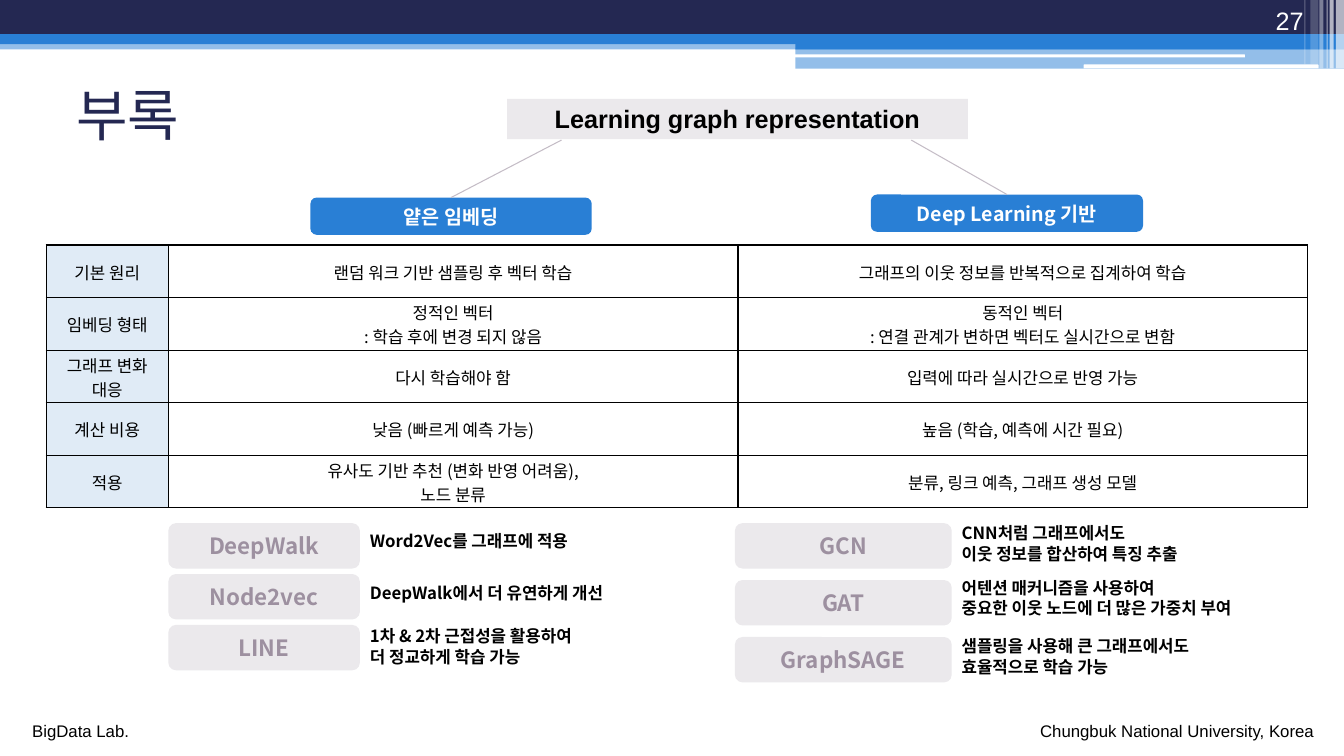
from lxml import etree
from pptx import Presentation
from pptx.dml.color import RGBColor
from pptx.enum.shapes import MSO_CONNECTOR, MSO_SHAPE
from pptx.enum.text import MSO_ANCHOR, PP_ALIGN
from pptx.oxml.ns import qn
from pptx.util import Inches, Pt

RECT, ROUND = MSO_SHAPE.RECTANGLE, MSO_SHAPE.ROUNDED_RECTANGLE
LEFT, MID, RIGHT = PP_ALIGN.LEFT, PP_ALIGN.CENTER, PP_ALIGN.RIGHT
TOP, HALF, BASE = MSO_ANCHOR.TOP, MSO_ANCHOR.MIDDLE, MSO_ANCHOR.BOTTOM
STRAIGHT = MSO_CONNECTOR.STRAIGHT

NAVY = RGBColor(0x24, 0x28, 0x52)
BLUE = RGBColor(0x29, 0x7F, 0xD5)
PALE = RGBColor(0xE0, 0xEB, 0xF6)
GREY = RGBColor(0xEB, 0xE9, 0xEC)
MAUVE = RGBColor(0x9D, 0x90, 0xA0)
RULE = RGBColor(0xC4, 0xBC, 0xC6)
WHITE = RGBColor(255, 255, 255)
BLACK = RGBColor(0, 0, 0)

WIDE, HIGH = Inches(13.333), Inches(7.5)
SANS, HANGUL = "Arial", "Noto Sans CJK KR"

FOOT = {"name": SANS, "size": Pt(12)}
PAGE = {"name": SANS, "size": Pt(18)}
HEAD = {**PAGE, "bold": True}
TITLE = {"name": "Montserrat", "size": Pt(40)}
CELL = {"name": HANGUL, "size": Pt(12)}
NOTE = {**CELL, "bold": True}
PILL = {**NOTE, "size": Pt(14)}
MODEL = {**NOTE, "size": Pt(16)}

BANDS = [
    (RECT, 0, 5.33, 100, 1.2, BLUE, 50),
    (RECT, 0, 0, 100, 4.53, NAVY, 100),
    (RECT, 0, 4.53, 100, 1.33, BLUE, 100),
    (RECT, 59.18, 5.2, 40.82, 1.33, BLUE, 100),
    (RECT, 59.18, 6.4, 40.82, 2.67, BLUE, 50),
    (ROUND, 59.1, 7.2, 33.53, 0.4, WHITE, 100),
    (ROUND, 80.63, 8.53, 17.48, 0.53, WHITE, 100),
]
STRIPS = [
    (99.4, 0.6, 9.07, 65), (98.93, 0.3, 9.07, 65), (98.7, 0.08, 9.07, 60),
    (98.18, 0.3, 9.07, 40), (97.5, 0.6, 8.53, 20), (97.05, 0.08, 8.53, 30),
]
TABLES = [
    (3.43, 9.1, PALE, ["기본 원리", "임베딩 형태", "그래프 변화\n대응", "계산 비용", "적용"]),
    (12.53, 42.38, WHITE, [
        "랜덤 워크 기반 샘플링 후 벡터 학습",
        "정적인 벡터\n: 학습 후에 변경 되지 않음",
        "다시 학습해야 함",
        "낮음 (빠르게 예측 가능)",
        "유사도 기반 추천 (변화 반영 어려움),\n노드 분류",
    ]),
    (54.91, 42.38, WHITE, [
        "그래프의 이웃 정보를 반복적으로 집계하여 학습",
        "동적인 벡터\n: 연결 관계가 변하면 벡터도 실시간으로 변함",
        "입력에 따라 실시간으로 반영 가능",
        "높음 (학습, 예측에 시간 필요)",
        "분류, 링크 예측, 그래프 생성 모델",
    ]),
]
BRANCHES = [
    ("얕은 임베딩", 23.1, 26.13, 20.93, 41.78),
    ("Deep Learning 기반", 64.8, 25.73, 20.25, 67.8),
]
GROUPS = [
    (12.53, 14.25, 6.73, [
        ("DeepWalk", 69.47, "Word2Vec를 그래프에 적용"),
        ("Node2vec", 76.4, "DeepWalk에서 더 유연하게 개선"),
        ("LINE", 82.13, "1차 & 2차 근접성을 활용하여\n더 정교하게 학습 가능"),
    ]),
    (54.68, 16.13, 7.53, [
        ("GCN", 68.53, "CNN처럼 그래프에서도\n이웃 정보를 합산하여 특징 추출"),
        ("GAT", 75.73, "어텐션 매커니즘을 사용하여\n중요한 이웃 노드에 더 많은 가중치 부여"),
        ("GraphSAGE", 83.47, "샘플링을 사용해 큰 그래프에서도\n효율적으로 학습 가능"),
    ]),
]


def place(*box):
    return [int(side * part / 100) for side, part in zip((WIDE, HIGH) * 2, box)]


def write(frame, text, style, color, align=LEFT, anchor=TOP, gap=None):
    frame.vertical_anchor = anchor
    for i, line in enumerate(text.split("\n")):
        para = frame.paragraphs[0] if i == 0 else frame.add_paragraph()
        para.alignment, para.line_spacing = align, gap
        run = para.add_run()
        run.text = line
        for key, value in style.items():
            setattr(run.font, key, value)
        run.font.color.rgb = color
        east = etree.SubElement(run.font._element, qn("a:ea"))
        east.set("typeface", style["name"])


def panel(slide, kind, box, color, alpha=100):
    shape = slide.shapes.add_shape(kind, *place(*box))
    shape.shadow.inherit = False
    shape.fill.solid()
    shape.fill.fore_color.rgb = color
    shape.line.fill.background()
    if alpha < 100:
        tone = shape.fill._xPr.find(".//" + qn("a:srgbClr"))
        etree.SubElement(tone, qn("a:alpha")).set("val", str(alpha * 1000))
    return shape


def label(slide, box, text, style, color, wrap=True, **flow):
    frame = slide.shapes.add_textbox(*place(*box)).text_frame
    frame.word_wrap = wrap
    write(frame, text, style, color, **flow)


def edge(cell):
    props = cell._tc.get_or_add_tcPr()
    for i, side in enumerate(("lnL", "lnR", "lnT", "lnB")):
        line = etree.Element(qn("a:" + side), w=str(Pt(1)))
        fill = etree.SubElement(line, qn("a:solidFill"))
        etree.SubElement(fill, qn("a:srgbClr"), val=str(BLACK))
        props.insert(i, line)


def column(slide, left, width, color, texts):
    box = place(left, 32.4, width, 34.8)
    table = slide.shapes.add_table(len(texts), 1, *box).table
    table.first_row = table.horz_banding = False
    pads = {"margin_left": 0.01, "margin_right": 0.01, "margin_top": 0.01, "margin_bottom": 0}
    for i, text in enumerate(texts):
        cell = table.cell(i, 0)
        for key, value in pads.items():
            setattr(cell, key, Inches(value))
        cell.fill.solid()
        cell.fill.fore_color.rgb = color
        edge(cell)
        write(cell.text_frame, text, CELL, BLACK, MID)
        cell.vertical_anchor = HALF


def branch(slide, text, left, top, width, start):
    pill = panel(slide, ROUND, (left, top, width, 4.93), BLUE)
    write(pill.text_frame, text, PILL, WHITE, MID, HALF)
    ends = place(start, 18.53, left + width / 2, top)
    link = slide.shapes.add_connector(STRAIGHT, *ends)
    link.end_connect(pill, 0)
    link.line.color.rgb = RULE
    link.line.width = Pt(0.75)
    etree.SubElement(link._element.spPr, qn("a:effectLst"))


def group(slide, left, width, step, models):
    for i, (name, top, text) in enumerate(models):
        box = panel(slide, ROUND, (left, 69.2 + i * step, width, 6), GREY)
        write(box.text_frame, name, MODEL, MAUVE, MID, HALF)
        tall = 1.33 + 2.67 * len(text.split("\n"))
        label(slide, (left + width, top, 27.83, tall), text, NOTE, BLACK, gap=Pt(14.5))


def main():
    deck = Presentation()
    deck.slide_width, deck.slide_height = WIDE, HIGH
    slide = deck.slides.add_slide(deck.slide_layouts[5])
    for kind, *box, color, alpha in BANDS:
        panel(slide, kind, box, color, alpha)
    for left, width, tall, alpha in STRIPS:
        panel(slide, RECT, (left, 0, width, tall), WHITE, alpha)

    title = slide.shapes.title
    title.left, title.top, title.width, title.height = place(4.95, 10, 90, 10.27)
    write(title.text_frame, "부록", TITLE, NAVY, LEFT, HALF)
    label(slide, (89.4, 0, 8.33, 5.33), "27", PAGE, WHITE, align=RIGHT, anchor=BASE)
    label(slide, (1.65, 94.67, 8.78, 4), "BigData Lab.", FOOT, BLACK, False)
    label(slide, (76.65, 94.67, 22.05, 4), "Chungbuk National University, Korea", FOOT, BLACK, False)

    head = panel(slide, RECT, (37.73, 13.07, 34.28, 5.33), GREY)
    write(head.text_frame, "Learning graph representation", HEAD, BLACK, MID)
    for item in BRANCHES:
        branch(slide, *item)
    for item in TABLES:
        column(slide, *item)
    for item in GROUPS:
        group(slide, *item)
    deck.save("out.pptx")


if __name__ == "__main__":
    main()
